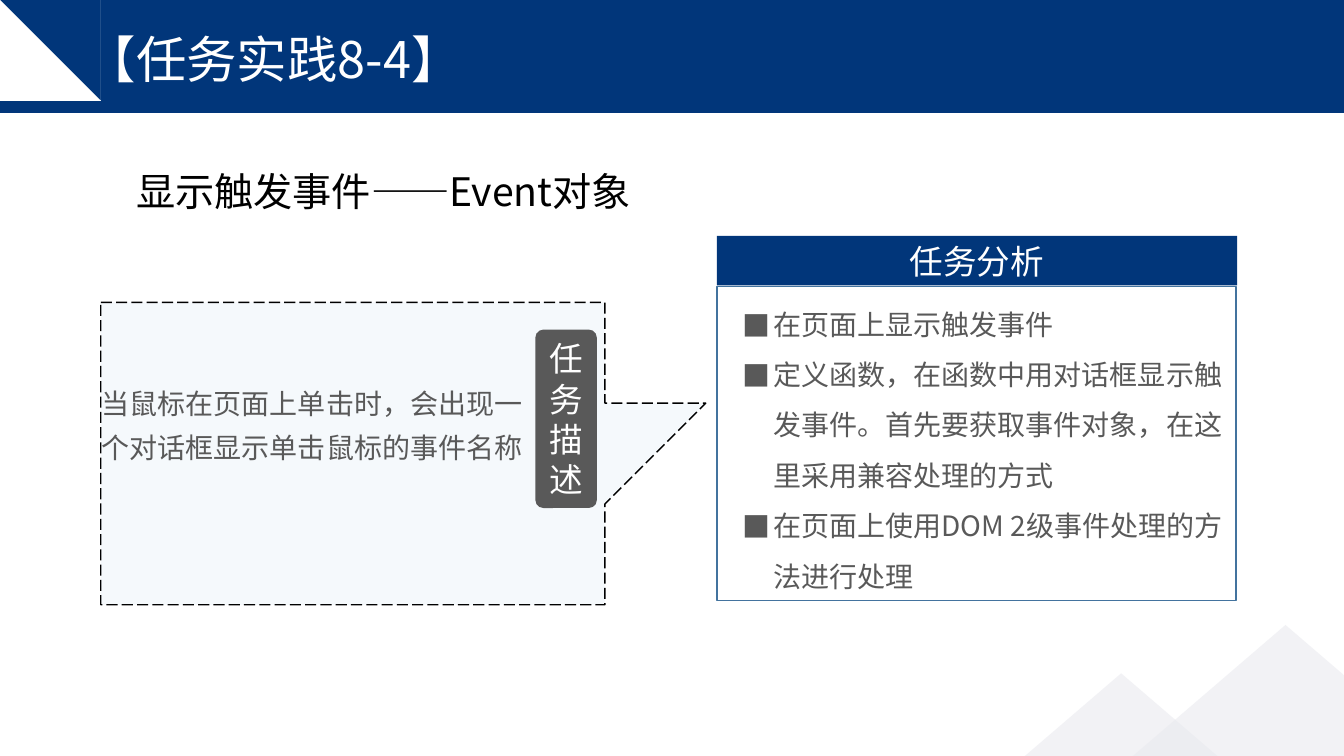
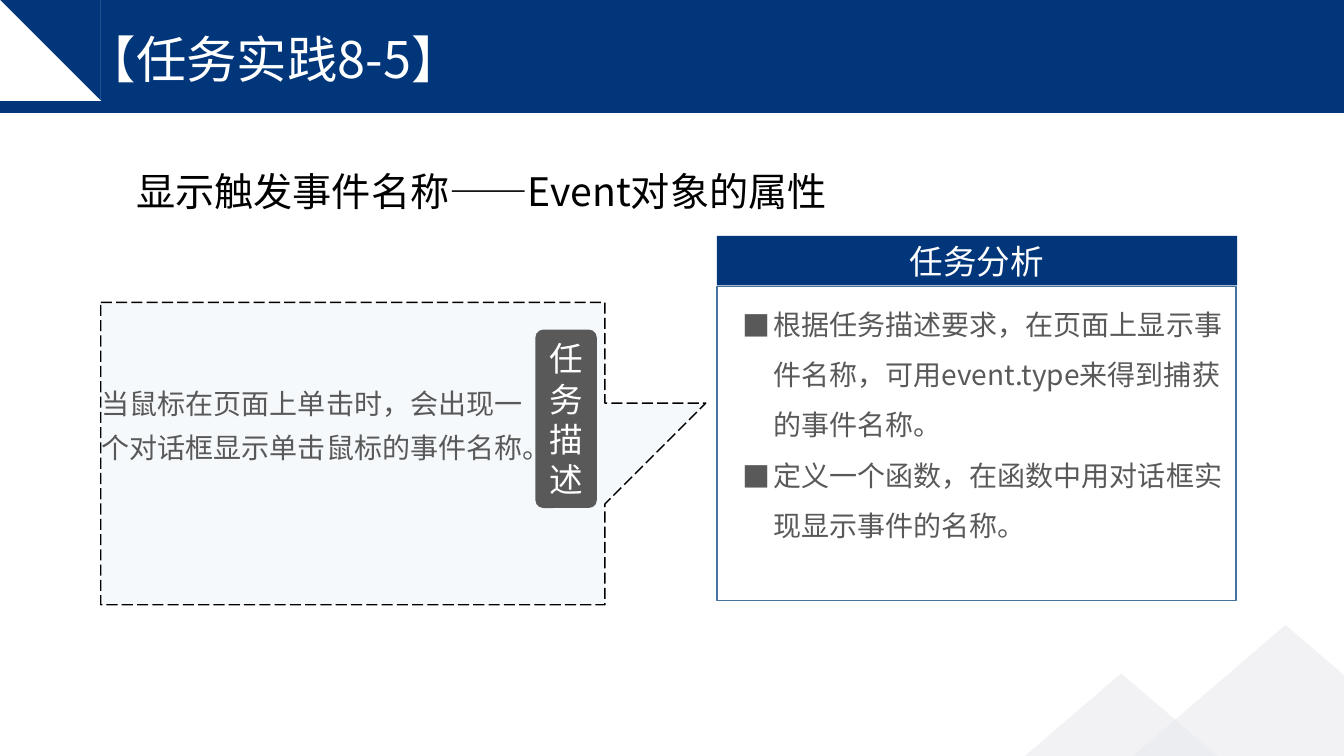
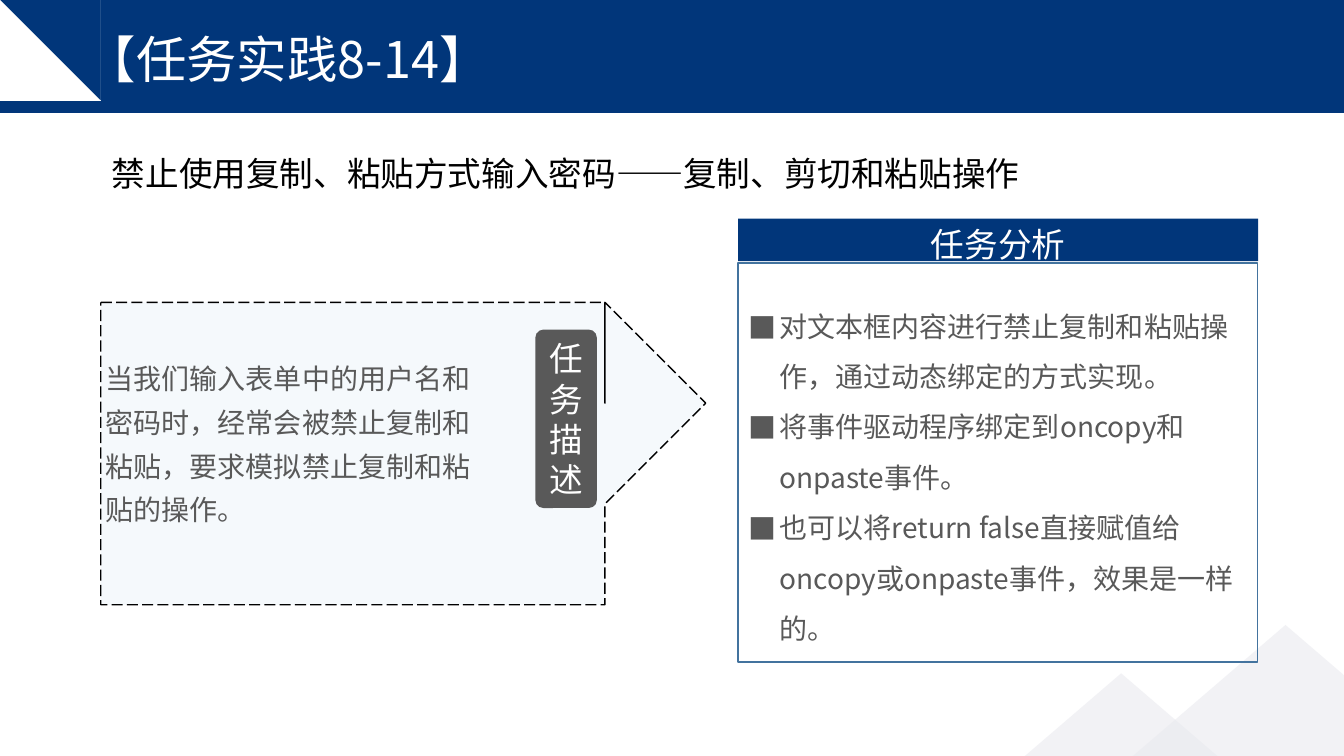
from dataclasses import dataclass
from math import cos, pi, sin
from typing import Optional

from lxml.etree import SubElement
from pptx import Presentation
from pptx.dml.color import RGBColor
from pptx.enum.dml import MSO_LINE
from pptx.enum.shapes import MSO_SHAPE as Shape
from pptx.enum.text import MSO_ANCHOR as Anchor, MSO_AUTO_SIZE as AutoSize, PP_ALIGN as Align
from pptx.oxml.ns import qn
from pptx.util import Inches, Pt

# Shared style
NAVY, WHITE, BLACK = "01367A", "FFFFFF", "000000"
GREY, PALE_BLUE, MOUNTAIN, BORDER = "595959", "BDD7EE", "E9EAEF", "43739E"
CJK_FONT, LABEL_FONT = "Noto Sans CJK SC", "Calibri"
BULLET_INDENT = 0.31


@dataclass(frozen=True)
class Area:
    left: float
    top: float
    width: float
    height: float

    def lengths(self) -> tuple:
        return tuple(Inches(v) for v in (self.left, self.top, self.width, self.height))


@dataclass(frozen=True)
class TextStyle:
    size: float
    color: str
    spacing: float = 1.0
    align: Align = Align.LEFT
    font: str = CJK_FONT
    bullet: Optional[str] = None


@dataclass(frozen=True)
class Task:
    number: str
    subtitle: str
    subtitle_size: float
    description: str
    steps: tuple[str, ...]
    subtitle_area: Area
    arrow: Area
    description_area: Area
    header: Area
    list_area: Area
    panel: Area


TITLE = TextStyle(36, WHITE, 0.9)
DESCRIPTION = TextStyle(20, GREY, 1.3)
STEPS = TextStyle(20, GREY, 1.5, bullet="■")
HEADER = TextStyle(24, WHITE, align=Align.CENTER)
LABEL = TextStyle(24, WHITE, align=Align.CENTER, font=LABEL_FONT)

TITLE_AREA = Area(0.75, 0.34, 6.58, 0.56)
LABEL_AREA = Area(5.31, 3.27, 0.61, 1.77)
MOUNTAINS = (Area(8.92, 6.68, 4.4, 1.89), Area(10.55, 6.2, 4.4, 1.89))
TITLE_MARK = ((0.43, 0.46), (0.56, 0.53), (0.56, 0.46), (0.82, 0.6),
              (0.56, 0.75), (0.56, 0.68), (0.43, 0.75))

# Places shared by the first two tasks
WIDE_LAYOUT = dict(
    subtitle_size=28,
    subtitle_area=Area(1.25, 1.47, 7.4, 0.7),
    arrow=Area(0.64, 3.02, 6.16, 2.55),
    description_area=Area(0.91, 3.69, 4.4, 0.93),
    header=Area(7.11, 2.34, 5.16, 0.49),
    list_area=Area(7.26, 2.83, 5.16, 3.13),
    panel=Area(7.11, 2.84, 5.15, 3.12),
)

TASKS = (
    Task(
        number="8-4",
        subtitle="显示触发事件——Event对象",
        description="当鼠标在页面上单击时，会出现一个对话框显示单击鼠标的事件名称",
        steps=(
            "在页面上显示触发事件",
            "定义函数，在函数中用对话框显示触发事件。首先要获取事件对象，在这里采用兼容处理的方式",
            "在页面上使用DOM 2级事件处理的方法进行处理",
        ),
        **WIDE_LAYOUT,
    ),
    Task(
        number="8-5",
        subtitle="显示触发事件名称——Event对象的属性",
        description="当鼠标在页面上单击时，会出现一个对话框显示单击鼠标的事件名称。",
        steps=(
            "根据任务描述要求，在页面上显示事件名称，可用event.type来得到捕获的事件名称。",
            "定义一个函数，在函数中用对话框实现显示事件的名称。",
        ),
        **WIDE_LAYOUT,
    ),
    Task(
        number="8-14",
        subtitle="禁止使用复制、粘贴方式输入密码——复制、剪切和粘贴操作",
        subtitle_size=24,
        description="当我们输入表单中的用户名和密码时，经常会被禁止复制和粘贴，要求模拟禁止复制和粘贴的操作。",
        steps=(
            "对文本框内容进行禁止复制和粘贴操作，通过动态绑定的方式实现。",
            "将事件驱动程序绑定到oncopy和onpaste事件。",
            "也可以将return false直接赋值给oncopy或onpaste事件，效果是一样的。",
        ),
        subtitle_area=Area(1.01, 1.35, 9.57, 0.7),
        arrow=Area(0.51, 2.76, 6.16, 3.17),
        description_area=Area(0.95, 3.44, 3.97, 1.81),
        header=Area(7.32, 2.17, 5.16, 0.42),
        list_area=Area(7.32, 2.85, 5.16, 3.08),
        panel=Area(7.32, 2.61, 5.15, 3.96),
    ),
)


def rgb(color: str) -> RGBColor:
    return RGBColor.from_string(color)


def paint(shape, fill: Optional[str] = None, alpha: int = 100, line: Optional[str] = None):
    """Set fill, opacity in percent and a one-point outline."""
    shape.shadow.inherit = False
    if fill:
        shape.fill.solid()
        shape.fill.fore_color.rgb = rgb(fill)
        if alpha < 100:
            tint = shape.element.spPr.find(qn("a:solidFill"))[0]
            SubElement(tint, qn("a:alpha"), val=str(alpha * 1000))
    else:
        shape.fill.background()
    if line:
        shape.line.color.rgb = rgb(line)
        shape.line.width = Pt(1)
    else:
        shape.line.fill.background()
    return shape


def add_block(page, kind: Shape, area: Area, **look):
    return paint(page.shapes.add_shape(kind, *area.lengths()), **look)


def add_outline(page, points, **look):
    start, *rest = points
    builder = page.shapes.build_freeform(*start, scale=Inches(1))
    builder.add_line_segments(rest, close=True)
    return paint(builder.convert_to_shape(), **look)


def write(shape, texts: tuple[str, ...], style: TextStyle, anchor: Anchor = Anchor.TOP) -> None:
    """Fill a shape with one paragraph per text, all in one style."""
    frame = shape.text_frame
    frame.word_wrap = True
    frame.auto_size = AutoSize.NONE
    frame.vertical_anchor = anchor
    for index, text in enumerate(texts):
        para = frame.add_paragraph() if index else frame.paragraphs[0]
        para.text = text
        para.alignment = style.align
        para.line_spacing = style.spacing
        para.space_before = Pt(0)
        props = para._p.get_or_add_pPr()
        indent = Inches(BULLET_INDENT) if style.bullet else 0
        props.set("marL", str(indent))
        props.set("indent", str(-indent))
        if style.bullet:
            SubElement(props, qn("a:buFont"), typeface=style.font)
            SubElement(props, qn("a:buChar"), char=style.bullet)
        else:
            SubElement(props, qn("a:buNone"))
        para.font.size = Pt(style.size)
        para.font.color.rgb = rgb(style.color)
        para.font.name = style.font
        SubElement(props.find(qn("a:defRPr")), qn("a:ea"), typeface=style.font)


def fill_placeholder(shape, area: Area, texts: tuple[str, ...], style: TextStyle,
                     anchor: Anchor = Anchor.TOP) -> None:
    shape.left, shape.top, shape.width, shape.height = area.lengths()
    write(shape, texts, style, anchor)


def arrow_points(area: Area) -> list[tuple[float, float]]:
    """Outline of a rounded box with an arrow on its right side."""
    head, radius_x, radius_y = 0.31, 0.13, 0.055 * area.height
    right = area.left + area.width - 2 * head
    bottom = area.top + area.height

    def corner(center_x: float, center_y: float, first: int) -> list[tuple[float, float]]:
        angles = [(first + step / 8) * pi / 2 for step in range(9)]
        return [(center_x + radius_x * cos(a), center_y + radius_y * sin(a)) for a in angles]

    near_left, near_right = area.left + radius_x, right - radius_x
    near_top, near_bottom = area.top + radius_y, bottom - radius_y
    side = ((0, 0.35), (head, 0.35), (head, 0.205), (2 * head, 0.5),
            (head, 0.795), (head, 0.65), (0, 0.65))
    return [
        *corner(near_left, near_top, 2),
        *corner(near_right, near_top, 3),
        *((right + dx, area.top + share * area.height) for dx, share in side),
        *corner(near_right, near_bottom, 0),
        *corner(near_left, near_bottom, 1),
    ]


def decorate_layout(layout, page) -> None:
    """Draw the shared band, mark and mountains, then move them to the layout."""
    parts = [
        add_block(page, Shape.RECTANGLE, Area(0, 0, 13.33, 1.12), fill=NAVY),
        add_outline(page, TITLE_MARK, fill=WHITE),
    ]
    parts += [add_block(page, Shape.ISOSCELES_TRIANGLE, area, fill=MOUNTAIN, alpha=59)
              for area in MOUNTAINS]
    for part in parts:
        layout.shapes.element.append(part.element)


def draw_task(page, task: Task) -> None:
    # Title, subtitle and analysis list
    title, subtitle, steps = page.placeholders
    fill_placeholder(title, TITLE_AREA, (f"【任务实践{task.number}】",), TITLE, Anchor.MIDDLE)
    fill_placeholder(subtitle, task.subtitle_area, (task.subtitle,),
                     TextStyle(task.subtitle_size, BLACK, 1.3))
    fill_placeholder(steps, task.list_area, task.steps, STEPS)

    # Task description
    arrow = add_outline(page, arrow_points(task.arrow), fill=PALE_BLUE, alpha=15, line=BLACK)
    arrow.line.dash_style = MSO_LINE.LONG_DASH
    description = page.shapes.add_textbox(*task.description_area.lengths())
    write(description, (task.description,), DESCRIPTION)
    label = add_block(page, Shape.ROUNDED_RECTANGLE, LABEL_AREA, fill=GREY)
    label.adjustments[0] = 0.13
    write(label, ("任务描述",), LABEL, Anchor.MIDDLE)

    # Task analysis panel
    header = add_block(page, Shape.RECTANGLE, task.header, fill=NAVY)
    write(header, ("任务分析",), HEADER)
    add_block(page, Shape.RECTANGLE, task.panel, line=BORDER)


def main() -> None:
    deck = Presentation()
    deck.slide_width, deck.slide_height = Inches(13.33), Inches(7.5)
    layout = deck.slide_layouts.get_by_name("Two Content")
    pages = [deck.slides.add_slide(layout) for _ in TASKS]
    decorate_layout(layout, pages[0])
    for page, task in zip(pages, TASKS):
        draw_task(page, task)
    deck.save("out.pptx")


if __name__ == "__main__":
    main()
